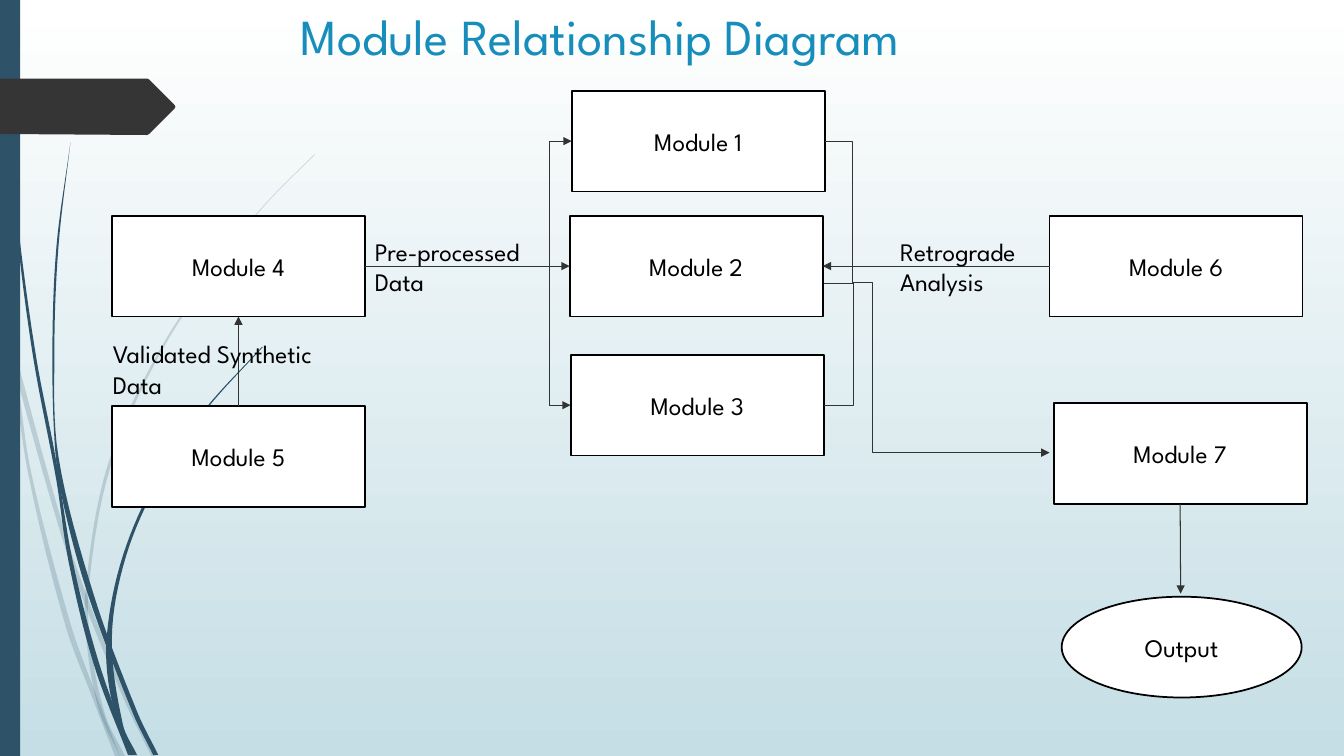
from dataclasses import dataclass

from lxml import etree
from pptx import Presentation
from pptx.dml.color import RGBColor
from pptx.enum.shapes import MSO_CONNECTOR, MSO_SHAPE
from pptx.enum.text import MSO_ANCHOR, MSO_AUTO_SIZE, PP_ALIGN
from pptx.oxml.ns import qn
from pptx.util import Inches, Pt

RECTANGLE, ELLIPSE = MSO_SHAPE.RECTANGLE, MSO_SHAPE.OVAL
STRAIGHT, ELBOW = MSO_CONNECTOR.STRAIGHT, MSO_CONNECTOR.ELBOW
TOP, MIDDLE = MSO_ANCHOR.TOP, MSO_ANCHOR.MIDDLE
LEFT, CENTER = PP_ALIGN.LEFT, PP_ALIGN.CENTER
SIDE_TOP, SIDE_LEFT, SIDE_BOTTOM, SIDE_RIGHT = range(4)
FONT = "League Spartan"
NAVY, BLACK, WHITE = "2E5369", "000000", "FFFFFF"
BOX_WIDTH, BOX_HEIGHT = 2.51, 1.0
Points = list[tuple[float, float]]


@dataclass
class Node:
    text: str
    left: float
    top: float
    width: float = BOX_WIDTH
    kind: int = RECTANGLE


@dataclass
class Label:
    lines: list[str]
    left: float
    top: float
    width: float


@dataclass
class Link:
    start: tuple[float, float]
    end: tuple[float, float]
    arrow: str = ""  # headEnd marks the start, tailEnd the end
    preset: str = "line"
    bend: float = 0
    source: tuple[str, int] | None = None
    target: tuple[str, int] | None = None


@dataclass
class Strand:
    left_edge: Points
    right_edge: Points
    opacity: int = 100


# Grass strands: both edges from top to bottom
STRANDS = [
    Strand([(0, 2.99), (0.1, 3.44), (0.17, 3.76), (0.58, 5.22), (0.84, 5.99), (1.23, 6.94), (1.5, 7.5)],
           [(0, 2.82), (0.09, 3.22), (0.14, 3.45), (0.62, 5.2), (0.92, 6.07), (1.27, 6.92), (1.55, 7.5)], 20),
    Strand([(0.11, 3.5), (0.28, 4.7), (0.65, 6.21), (0.92, 6.93), (1.14, 7.5)],
           [(0.11, 3.5), (0.17, 3.76), (0.31, 4.69), (0.7, 6.19), (0.93, 6.83), (1.19, 7.5)], 20),
    Strand([(3.12, 1.53), (2.68, 1.97), (2.28, 2.44), (1.58, 3.48), (1.07, 4.61), (0.85, 5.84),
            (0.87, 6.46), (0.99, 7.07), (1.19, 7.5)],
           [(3.12, 1.54), (2.68, 1.98), (2.29, 2.45), (1.6, 3.49), (1.1, 4.62), (0.88, 5.84),
            (0.91, 6.46), (1.05, 7.11), (1.24, 7.5)], 20),
    Strand([(0.03, 0), (0.07, 1.1), (0.17, 2.33), (0.33, 3.55), (0.56, 4.77), (0.68, 5.57),
            (0.93, 6.59), (1.27, 7.49)],
           [(0.04, 0), (0.08, 1.09), (0.19, 2.32), (0.36, 3.55), (0.55, 4.53), (0.72, 5.56),
            (0.98, 6.57), (1.31, 7.49)]),
    Strand([(0.7, 1.41), (0.56, 2.45), (0.52, 3.49), (0.55, 4.49), (0.64, 5.05), (0.88, 5.92),
            (1.32, 7.08), (1.52, 7.49)],
           [(0.7, 1.41), (0.58, 2.45), (0.54, 3.49), (0.58, 4.53), (0.93, 5.9), (1.36, 7.06), (1.57, 7.49)]),
    Strand([(2.6, 3.44), (2.04, 4.05), (1.56, 4.74), (1.22, 5.51), (1.06, 6.31), (1.1, 6.91), (1.3, 7.49)],
           [(2.61, 3.44), (2.05, 4.06), (1.58, 4.76), (1.25, 5.52), (1.11, 6.33), (1.22, 7.19), (1.36, 7.49)]),
]
TAG = [(0, 0.78), (1.46, 0.78), (1.48, 0.79), (1.73, 1.04), (1.74, 1.06),
       (1.73, 1.08), (1.48, 1.33), (1.46, 1.34), (0, 1.33)]

NODES = [
    Node("Module 1", 5.67, 0.9),
    Node("Module 4", 1.11, 2.14),
    Node("Module 2", 5.65, 2.14),
    Node("Module 3", 5.66, 3.52),
    Node("Module 5", 1.11, 4.03),
    Node("Module 6", 10.41, 2.14),
    Node("Module 7", 10.45, 4),
    Node("Output", 10.53, 5.92, 2.38, ELLIPSE),
]
LABELS = [
    Label(["Pre-processed", "Data"], 3.62, 2.29, 2.02),
    Label(["Validated Synthetic", "Data"], 1.02, 3.31, 2.68),
    Label(["Retrograde", "Analysis"], 8.83, 2.29, 1.6),
]
LINKS = [
    Link((3.62, 2.64), (5.65, 2.64), "tailEnd", source=("Module 4", SIDE_RIGHT), target=("Module 2", SIDE_LEFT)),
    Link((2.36, 4.03), (2.36, 3.14), "tailEnd", source=("Module 5", SIDE_TOP), target=("Module 4", SIDE_BOTTOM)),
    Link((10.41, 2.64), (8.16, 2.64), "tailEnd", source=("Module 6", SIDE_LEFT), target=("Module 2", SIDE_RIGHT)),
    Link((11.71, 5), (11.71, 5.89), "tailEnd", source=("Module 7", SIDE_BOTTOM)),
    Link((8.17, 2.81), (8.46, 2.81)),
    Link((5.67, 1.4), (5.45, 2.64), "headEnd", "bentConnector2"),
    Link((5.66, 4.02), (5.45, 2.64), "headEnd", "bentConnector2"),
    Link((8.18, 1.4), (8.46, 2.82), preset="bentConnector2"),
    Link((8.17, 4.02), (8.47, 2.8), preset="bentConnector2"),
    Link((8.46, 2.8), (10.41, 4.49), "tailEnd", "bentConnector3", 0.1),
]


def color(value: str) -> RGBColor:
    return RGBColor.from_string(value)


def fill_plain(shape, value: str) -> None:
    shape.shadow.inherit = False
    shape.fill.solid()
    shape.fill.fore_color.rgb = color(value)
    shape.line.fill.background()


def write(shape, lines: list[str], align, anchor, size: int = 18, ink: str = BLACK) -> None:
    frame = shape.text_frame
    for name, value in {"word_wrap": True, "auto_size": MSO_AUTO_SIZE.NONE, "vertical_anchor": anchor}.items():
        setattr(frame, name, value)
    frame.text = "\n".join(lines)
    for para in frame.paragraphs:
        para.alignment = align
        for span in para.runs:
            for name, value in {"name": FONT, "size": Pt(size), "bold": False}.items():
                setattr(span.font, name, value)
            span.font.color.rgb = color(ink)


def smooth(knots: Points, steps: int = 8) -> Points:
    """Cubic curve through the knots, with x as a function of y."""
    last = len(knots) - 1
    slopes = []
    for index in range(last + 1):
        (x0, y0), (x1, y1) = knots[max(index - 1, 0)], knots[min(index + 1, last)]
        slopes.append((x1 - x0) / (y1 - y0))
    curve = [knots[0]]
    for index in range(last):
        (x0, y0), (x1, y1) = knots[index:index + 2]
        rise = y1 - y0
        for step in range(1, steps + 1):
            t = step / steps
            blend = t * t * (3 - 2 * t)
            x = x0 + (x1 - x0) * blend + rise * (
                slopes[index] * t * (1 - t) ** 2 - slopes[index + 1] * t * t * (1 - t))
            curve.append((x, y0 + rise * t))
    return curve


def draw_outline(page, points: Points, value: str, opacity: int = 100) -> None:
    corners = [(Inches(x), Inches(y)) for x, y in points]
    builder = page.shapes.build_freeform(*corners[0])
    builder.add_line_segments(corners[1:], close=True)
    shape = builder.convert_to_shape()
    fill_plain(shape, value)
    if opacity < 100:
        tint = shape.fill._xPr.find(".//" + qn("a:srgbClr"))
        etree.SubElement(tint, qn("a:alpha"), val=str(opacity * 1000))


def draw_node(page, node: Node):
    box = page.shapes.add_shape(node.kind, Inches(node.left), Inches(node.top),
                                Inches(node.width), Inches(BOX_HEIGHT))
    fill_plain(box, WHITE)
    box.line.color.rgb = color(BLACK)
    box.line.width = Pt(1.25)
    write(box, [node.text], CENTER, MIDDLE)
    return box


def draw_link(page, link: Link, boxes: dict) -> None:
    kind = STRAIGHT if link.preset == "line" else ELBOW
    line = page.shapes.add_connector(kind, *(Inches(value) for value in link.start + link.end))
    if link.source:
        line.begin_connect(boxes[link.source[0]], link.source[1])
    if link.target:
        line.end_connect(boxes[link.target[0]], link.target[1])
    line.line.color.rgb = color("333333")
    line.line.width = Pt(0.75)
    properties = line._element.spPr
    geometry = properties.find(qn("a:prstGeom"))
    geometry.set("prst", link.preset)
    if link.bend:
        guides = geometry.find(qn("a:avLst"))
        etree.SubElement(guides, qn("a:gd"), name="adj1", fmla=f"val {round(link.bend * 100000)}")
    if link.arrow:
        etree.SubElement(properties.find(qn("a:ln")), qn("a:" + link.arrow), type="triangle")
    etree.SubElement(properties, qn("a:effectLst"))


def main() -> None:
    deck = Presentation()
    deck.slide_width, deck.slide_height = Inches(13.33), Inches(7.5)
    page = deck.slides.add_slide(deck.slide_layouts[5])

    # Background
    backdrop = page.background.fill
    backdrop.gradient()
    backdrop.gradient_angle = 270
    for stop, position, value in zip(backdrop.gradient_stops, (0, 1), (WHITE, "C5DEE5")):
        stop.position = position
        stop.color.rgb = color(value)

    # Decoration on the left
    for strand in STRANDS:
        outline = smooth(strand.left_edge) + smooth(strand.right_edge)[::-1]
        draw_outline(page, outline, NAVY, strand.opacity)
    bar = page.shapes.add_shape(RECTANGLE, 0, 0, Inches(0.2), deck.slide_height)
    fill_plain(bar, NAVY)
    draw_outline(page, TAG, "353535")

    # Title
    title = page.shapes.title
    for name, value in {"left": 2.88, "top": 0, "width": 9.75, "height": 1.4}.items():
        setattr(title, name, Inches(value))
    write(title, ["Module Relationship Diagram"], LEFT, TOP, 36, "178DBB")

    # Diagram
    boxes = {node.text: draw_node(page, node) for node in NODES}
    for link in LINKS:
        draw_link(page, link, boxes)
    for label in LABELS:
        box = page.shapes.add_textbox(Inches(label.left), Inches(label.top), Inches(label.width), Inches(0.71))
        write(box, label.lines, LEFT, TOP)

    deck.save("out.pptx")


if __name__ == "__main__":
    main()
